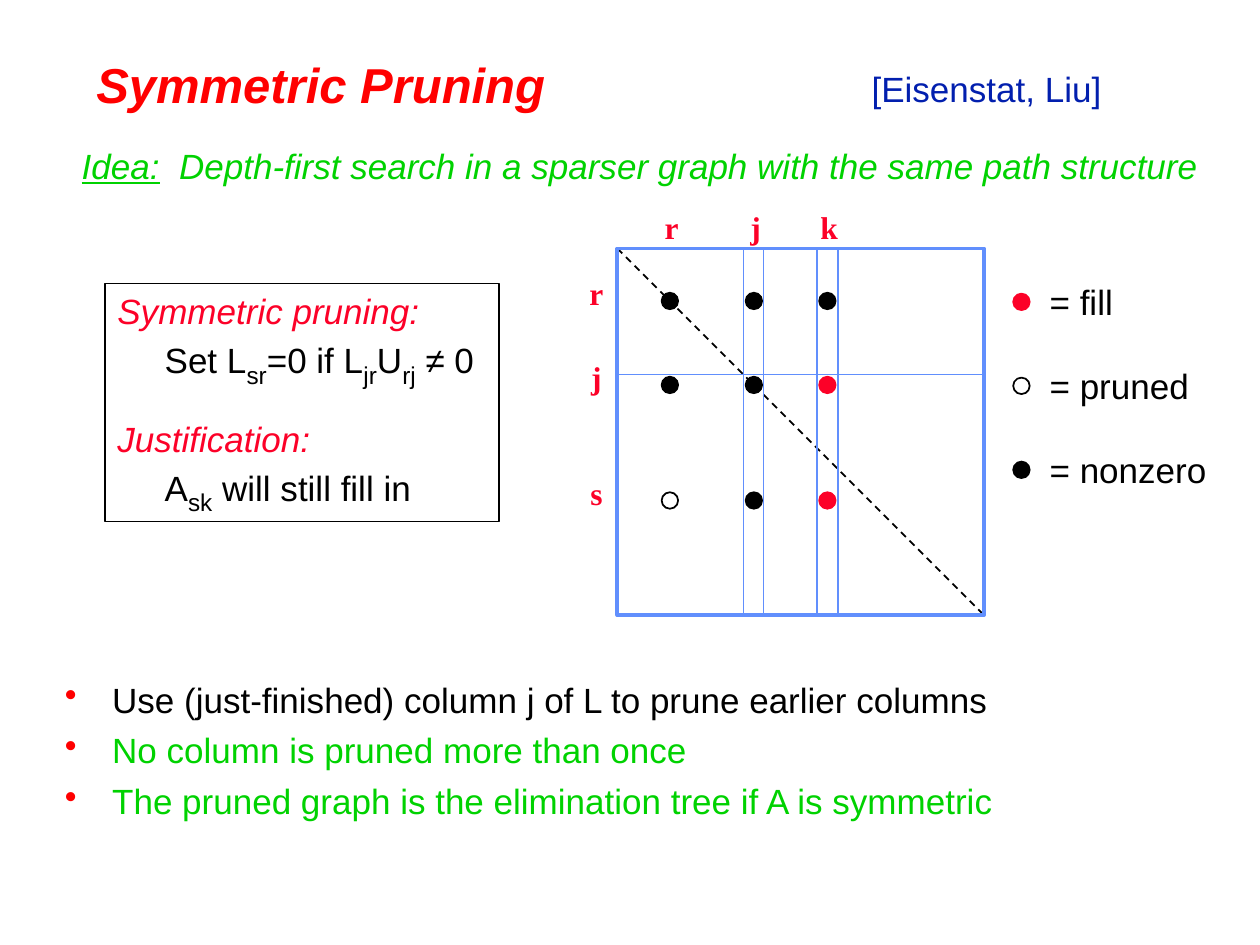
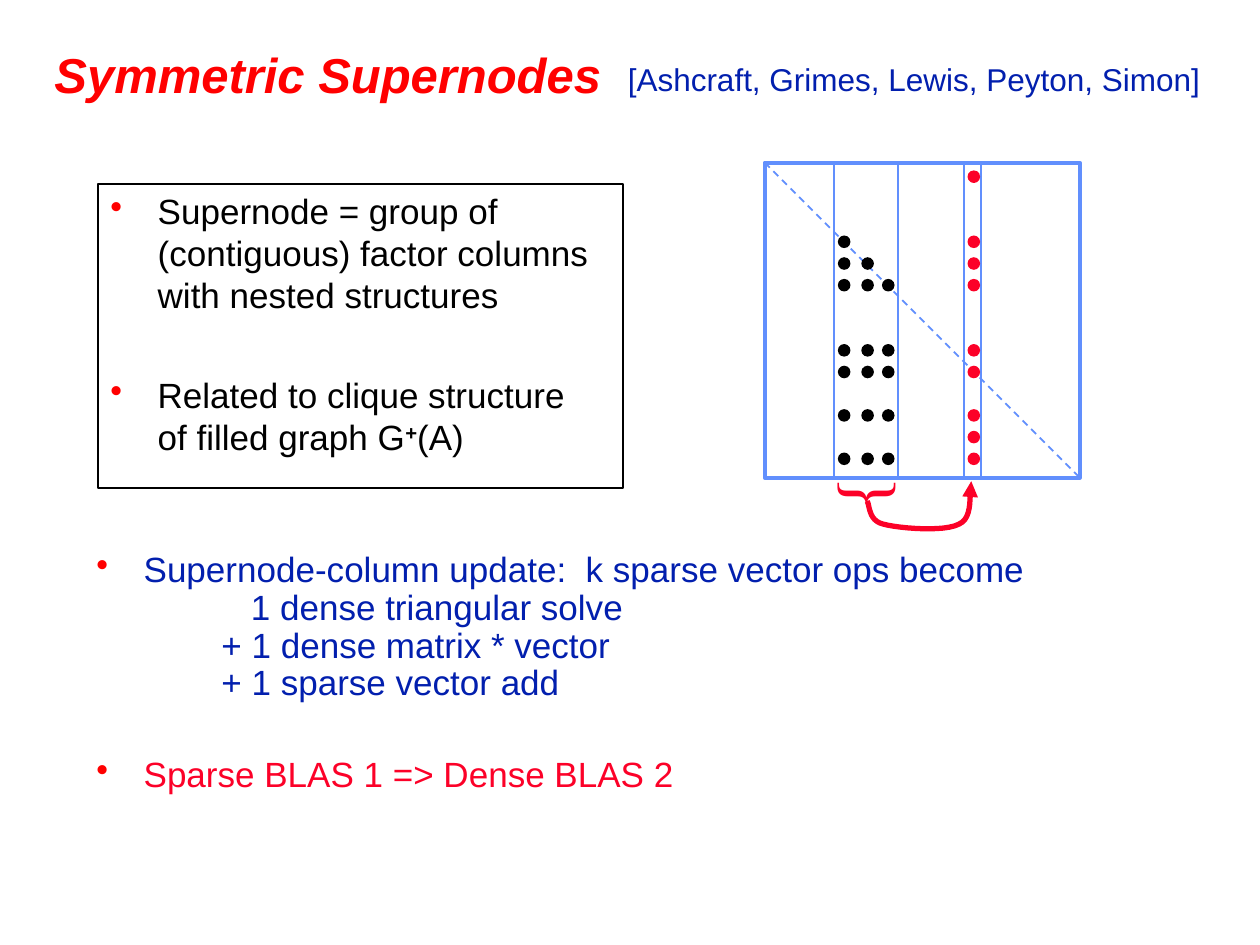
from lxml import etree
from pptx import Presentation
from pptx.dml.color import RGBColor
from pptx.enum.dml import MSO_LINE
from pptx.enum.shapes import MSO_CONNECTOR, MSO_SHAPE
from pptx.enum.text import MSO_ANCHOR, PP_ALIGN
from pptx.oxml.ns import qn
from pptx.util import Pt

STRAIGHT = MSO_CONNECTOR.STRAIGHT
OVAL = MSO_SHAPE.OVAL
RECTANGLE = MSO_SHAPE.RECTANGLE
DASH = MSO_LINE.DASH
TOP, MIDDLE = MSO_ANCHOR.TOP, MSO_ANCHOR.MIDDLE
LEFT, CENTER = PP_ALIGN.LEFT, PP_ALIGN.CENTER

COLORS = {
    "title": "FF0000",
    "cite": "021FAE",
    "green": "00D200",
    "red": "FC0128",
    "black": "000000",
    "grid": "618FFD",
}
SANS, SERIF = "Arial", "Times New Roman"
INSET = 7.2
HANG = 27
SUB = {"size": 24, "baseline": -25000}
BREAK = "\n"


def rgb(name):
    return RGBColor.from_string(COLORS[name])


def add_box(page, left, top, width, height, anchor=TOP, framed=False, side_inset=INSET):
    box = page.shapes.add_textbox(Pt(left), Pt(top), Pt(width), Pt(height))
    frame = box.text_frame
    frame.word_wrap = True
    frame.vertical_anchor = anchor
    frame.margin_left = frame.margin_right = Pt(side_inset)
    if framed:
        box.line.color.rgb = rgb("black")
        box.line.width = Pt(1)
    return box


def style_span(run, size=None, baseline=None, color=None, **flags):
    if size:
        run.font.size = Pt(size)
    if color:
        run.font.color.rgb = rgb(color)
    for flag, value in flags.items():
        setattr(run.font, flag, value)
    if baseline:
        run.font._element.set("baseline", str(baseline))


def add_bullet(properties):
    color = etree.Element(qn("a:buClr"))
    etree.SubElement(color, qn("a:srgbClr"), val=COLORS["title"])
    mark = etree.Element(qn("a:buChar"), char="•")
    defaults = properties.find(qn("a:defRPr"))
    defaults.addprevious(color)
    defaults.addprevious(mark)


def add_para(box, spans, size=20, color="black", font=SANS, bold=False, italic=False,
             align=LEFT, before=0, spacing=None, margin=0, indent=0, bullet=False):
    """Add a paragraph; spans is a text or a list of texts and (text, style) pairs."""
    frame = box.text_frame
    para = frame.paragraphs[0] if not frame.paragraphs[0].runs else frame.add_paragraph()
    para.alignment = align
    para.space_before = Pt(before)
    if spacing:
        para.line_spacing = spacing
    para.font.name = font
    para.font.size = Pt(size)
    para.font.bold = bold
    para.font.italic = italic
    para.font.color.rgb = rgb(color)
    properties = para._p.get_or_add_pPr()
    properties.set("marL", str(Pt(margin)))
    properties.set("indent", str(Pt(indent)))
    if bullet:
        add_bullet(properties)
    for span in [spans] if isinstance(spans, str) else spans:
        if span == BREAK:
            para.add_line_break()
            continue
        text, style = (span, {}) if isinstance(span, str) else span
        run = para.add_run()
        run.text = text
        style_span(run, **style)
    return para


def add_hanging(box, spans, **options):
    return add_para(box, spans, margin=HANG, indent=-HANG, **{"before": 5, **options})


def add_title(page, left, top, title, cite, cite_left, cite_size):
    """Place the title and, on the same baseline, the authors cited."""
    height, size = 48, 28
    box = add_box(page, left, top, cite_left - left, height, MIDDLE)
    add_para(box, title, size, "title", bold=True, italic=True)
    baseline_shift = 0.33 * (size - cite_size)
    box = add_box(page, cite_left, top + baseline_shift, 715 - cite_left, height, MIDDLE)
    add_para(box, cite, cite_size, "cite")


def add_line(page, x1, y1, x2, y2, color, dashed=False):
    line = page.shapes.add_connector(STRAIGHT, Pt(x1), Pt(y1), Pt(x2), Pt(y2))
    line.line.color.rgb = rgb(color)
    line.line.width = Pt(1)
    if dashed:
        line.line.dash_style = DASH
    etree.SubElement(line._element.spPr, qn("a:effectLst"))


def add_dot(page, x, y, size, fill, outline=None):
    """Draw a dot centred on x, y; without fill it is a ring."""
    dot = page.shapes.add_shape(OVAL, Pt(x - size / 2), Pt(y - size / 2), Pt(size), Pt(size))
    dot.shadow.inherit = False
    if fill:
        dot.fill.solid()
        dot.fill.fore_color.rgb = rgb(fill)
    else:
        dot.fill.background()
    if outline:
        dot.line.color.rgb = rgb(outline)
        dot.line.width = Pt(1)
    else:
        dot.line.fill.background()


def add_matrix(page, left, top, size, column_edges, diagonal):
    add_line(page, left, top, left + size, top + size, diagonal, dashed=True)
    for edge in column_edges:
        add_line(page, left + edge, top, left + edge, top + size, "grid")
    outline = page.shapes.add_shape(RECTANGLE, Pt(left), Pt(top), Pt(size), Pt(size))
    outline.shadow.inherit = False
    outline.fill.background()
    outline.line.color.rgb = rgb("grid")
    outline.line.width = Pt(2.25)


def add_centred_text(page, x, y, text, size, bold=False, rotation=0):
    width, height = 24, 1.6 * size
    box = add_box(page, x - width / 2, y - height / 2, width, height, MIDDLE, side_inset=0)
    add_para(box, text, size, "red", SERIF, bold=bold, align=CENTER)
    box.rotation = rotation


MARKS = {"fill": ("red", "red"), "pruned": (None, "black"), "nonzero": ("black", "black")}
MARK_SIZE = 9.4


def add_pruning_matrix(page, left, top):
    size = 209.5
    add_matrix(page, left, top, size, [72, 83.5, 114, 126], "black")
    add_line(page, left, top + 72, left + size, top + 72, "grid")
    columns = {"r": 30, "j": 78, "k": 120}
    rows = {"r": 30, "j": 78, "s": 144}
    entries = {
        "r": ["nonzero", "nonzero", "nonzero"],
        "j": ["nonzero", "nonzero", "fill"],
        "s": ["pruned", "nonzero", "fill"],
    }
    for row, y in rows.items():
        add_centred_text(page, left - 12, top + y - 4.5, row, 18, bold=True)
        for x, kind in zip(columns.values(), entries[row]):
            add_dot(page, left + x, top + y, MARK_SIZE, *MARKS[kind])
    for column, x in columns.items():
        add_centred_text(page, left + x + 1, top - 12.4, column, 18, bold=True)


def add_legend(page, left, top):
    step, height = 48, 32
    for index, (kind, mark) in enumerate(MARKS.items()):
        y = top + index * step
        add_dot(page, left + MARK_SIZE / 2, y + height / 2, MARK_SIZE, *mark)
        add_para(add_box(page, left + 13.7, y, 120, height), f"= {kind}")


def add_pruning_rule(page, left, top):
    box = add_box(page, left, top, 225, 136, framed=True)
    heading = {"color": "red", "italic": True}
    add_hanging(box, [("Symmetric pruning:", heading), BREAK, "Set L", ("sr", SUB), "=0 if L",
                      ("jr", SUB), "U", ("rj", SUB), " ≠ 0"])
    add_hanging(box, [("Justification:", heading), BREAK, "A", ("sk", SUB),
                      " will still fill in"], before=16)


def build_pruning(page):
    add_title(page, 48, 24, "Symmetric Pruning", "[Eisenstat, Liu]", 491, 20)
    idea = add_box(page, 39.6, 79, 670, 32)
    add_para(idea, [("Idea:", {"underline": True}),
                    "  Depth-first search in a sparser graph with the same path structure"],
             color="green", italic=True)
    add_pruning_rule(page, 60, 162)
    add_pruning_matrix(page, 352.8, 142)
    add_legend(page, 579, 156.5)
    body = add_box(page, 30, 384, 672, 114)
    add_hanging(body, "Use (just-finished) column j of L to prune earlier columns", bullet=True)
    for text in ("No column is pruned more than once",
                 "The pruned graph is the elimination tree if A is symmetric"):
        add_hanging(body, text, color="green", bullet=True)


def curve_points(start, pieces, steps=12):
    """Points along joined cubic curves, each given by two controls and an end."""
    points = [start]
    for control1, control2, end in pieces:
        for step in range(1, steps + 1):
            t = step / steps
            weights = ((1 - t) ** 3, 3 * t * (1 - t) ** 2, 3 * t * t * (1 - t), t ** 3)
            corners = (start, control1, control2, end)
            points.append(tuple(sum(w * c[axis] for w, c in zip(weights, corners))
                                for axis in (0, 1)))
        start = end
    return points


def add_update_arrow(page, left, top):
    points = curve_points((58.5, 193.5), [
        ((60, 195), (59, 204.5), (67.7, 206.5)),
        ((77, 209), (103, 211), (111, 206.5)),
        ((119.5, 203), (116.5, 188), (118, 182)),
    ])
    start, *rest = [(Pt(left + x), Pt(top + y)) for x, y in points]
    builder = page.shapes.build_freeform(*start)
    builder.add_line_segments(rest, close=False)
    arrow = builder.convert_to_shape()
    arrow.shadow.inherit = False
    arrow.fill.background()
    arrow.line.color.rgb = rgb("red")
    arrow.line.width = Pt(3)
    etree.SubElement(arrow._element.spPr.find(qn("a:ln")), qn("a:tailEnd"), type="triangle")


def add_supernode_matrix(page, left, top):
    add_matrix(page, left, top, 180, [39.6, 76.3, 113.8, 123.8], "grid")
    supernode_rows = [3, 4, 5, 8, 9, 11, 13]
    columns = [(x, "black", supernode_rows[index:]) for index, x in enumerate([45.4, 58.8, 70.6])]
    columns.append((119.5, "red", [0, 3, 4, 5, 8, 9, 11, 12, 13]))
    for x, color, rows in columns:
        for row in rows:
            add_dot(page, left + x, top + 8 + 12.4 * row, 7.2, color)
    add_centred_text(page, left + 53.3, top + 189, "{", 40, rotation=270)
    add_update_arrow(page, left, top)


def build_supernodes(page):
    add_title(page, 24, 18, "Symmetric Supernodes",
              "[Ashcraft, Grimes, Lewis, Peyton, Simon]", 351.7, 18)
    body = add_box(page, 48, 312, 630, 158)
    update = {"color": "cite", "spacing": 0.9}
    add_hanging(body, "Supernode-column update:  k sparse vector ops become",
                bullet=True, **update)
    add_para(body, "1 dense triangular solve", margin=88.3, **update)
    for text in ("+ 1 dense matrix * vector", "+ 1 sparse vector add"):
        add_para(body, text, margin=71.5, **update)
    add_hanging(body, "Sparse BLAS 1 => Dense BLAS 2", color="red", spacing=0.9,
                before=31, bullet=True)
    add_supernode_matrix(page, 437, 93)
    definition = add_box(page, 56, 105, 300, 174, framed=True)
    add_hanging(definition,
                "Supernode = group of (contiguous) factor columns with nested structures",
                bullet=True)
    add_hanging(definition, ["Related to clique structure", BREAK, "of filled graph G",
                             ("+", {"bold": True, "baseline": 30000}), "(A)"],
                before=33, bullet=True)


def main():
    deck = Presentation()
    deck.slide_width, deck.slide_height = Pt(720), Pt(540)
    blank = deck.slide_layouts[6]
    for build in (build_pruning, build_supernodes):
        build(deck.slides.add_slide(blank))
    deck.save("out.pptx")


if __name__ == "__main__":
    main()
